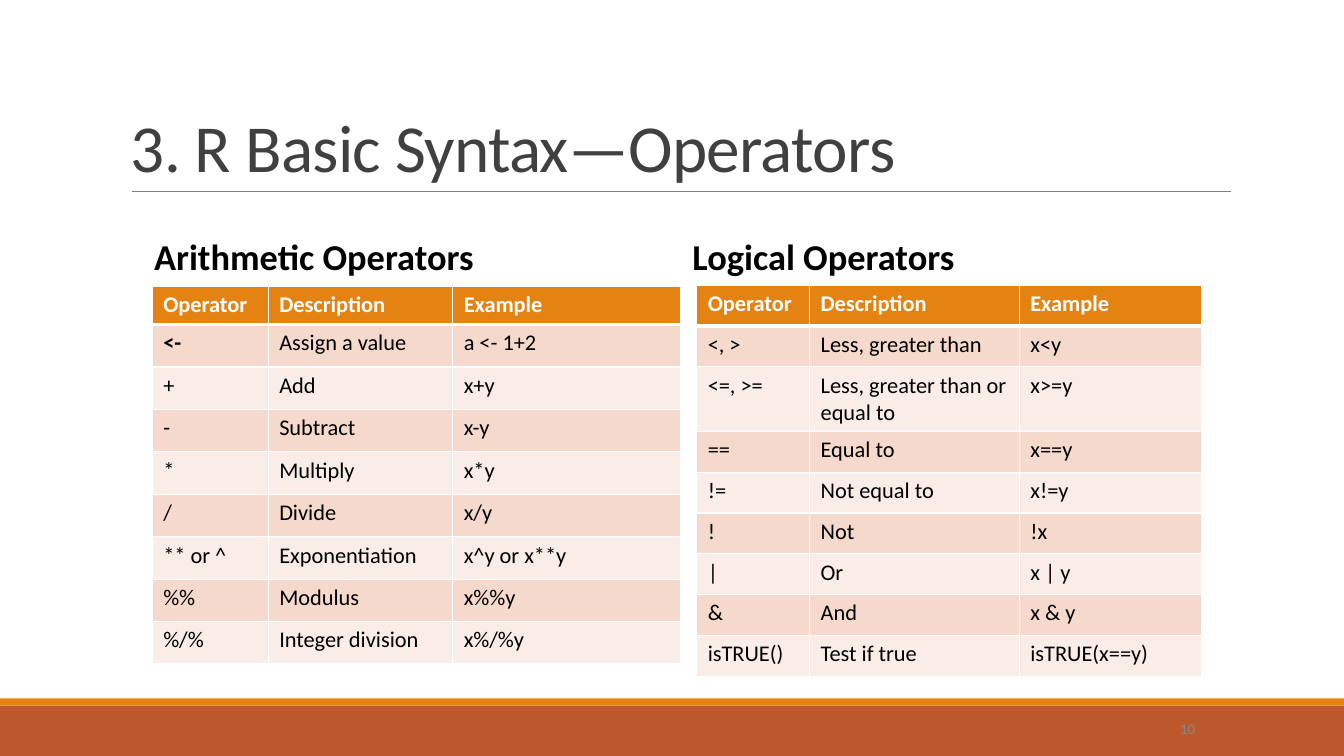
from lxml import etree
from pptx import Presentation
from pptx.dml.color import RGBColor
from pptx.enum.shapes import MSO_CONNECTOR, MSO_SHAPE
from pptx.enum.text import MSO_ANCHOR, PP_ALIGN
from pptx.oxml.ns import qn
from pptx.util import Inches, Pt

RECTANGLE = MSO_SHAPE.RECTANGLE
STRAIGHT = MSO_CONNECTOR.STRAIGHT
TOP, MIDDLE, BOTTOM = MSO_ANCHOR.TOP, MSO_ANCHOR.MIDDLE, MSO_ANCHOR.BOTTOM
LEFT, RIGHT = PP_ALIGN.LEFT, PP_ALIGN.RIGHT

FONT = "Calibri"
COLORS = {
    "rust": "BD582C", "orange": "E48312", "rule": "808080", "title": "404040",
    "number": "898989", "black": "000000", "white": "FFFFFF",
    "band_dark": "F5D9CC", "band_light": "FAEDE7",
}


def add_span(para, text, size, color, bold=False):
    span = para.add_run()
    span.text = text
    span.font.name = FONT
    span.font.size = Pt(size)
    span.font.bold = bold
    span.font.color.rgb = RGBColor.from_string(COLORS[color])
    return span


def add_text(page, place, text, size, color, bold=False, anchor=TOP, align=LEFT):
    box = page.shapes.add_textbox(*(Inches(value) for value in place))
    box.text_frame.word_wrap = True
    box.text_frame.vertical_anchor = anchor
    para = box.text_frame.paragraphs[0]
    para.alignment = align
    return para, add_span(para, text, size, color, bold)


deck = Presentation()
deck.slide_width, deck.slide_height = Inches(13.33), Inches(7.5)
page = deck.slides.add_slide(deck.slide_layouts[6])

# Footer bands
for top, height, color in [(7, 0.5, "rust"), (6.93, 0.07, "orange")]:
    band = page.shapes.add_shape(
        RECTANGLE, 0, Inches(top), deck.slide_width, Inches(height))
    band.shadow.inherit = False
    band.fill.solid()
    band.fill.fore_color.rgb = RGBColor.from_string(COLORS[color])
    band.line.fill.background()

# Title and the rule below it
rule = page.shapes.add_connector(
    STRAIGHT, Inches(1.31), Inches(1.9), Inches(12.21), Inches(1.9))
rule.line.color.rgb = RGBColor.from_string(COLORS["rule"])
rule.line.width = Pt(0.5)
etree.SubElement(rule._element.spPr, qn("a:effectLst"))

title_para, title_span = add_text(
    page, (1.2, 0.31, 11, 1.59), "3. R Basic Syntax—Operators", 48, "title",
    anchor=BOTTOM)
title_para.line_spacing = 0.85
title_span.font._element.set("spc", "-50")

# Operator tables: one row has its own height, the others share the rest
HEADER = ("Operator", "Description", "Example")
operator_tables = [
    {
        "heading": "Arithmetic Operators", "heading_left": 1.43,
        "left": 1.51, "top": 2.84, "height": 3.75,
        "columns": (1.15, 1.83, 2.26), "own_row": 0, "own_height": 0.38,
        "rows": [
            HEADER,
            ("<-", "Assign a value", "a <- 1+2"),
            ("+", "Add", "x+y"),
            ("-", "Subtract", "x-y"),
            ("*", "Multiply", "x*y"),
            ("/", "Divide", "x/y"),
            ("** or ^", "Exponentiation", "x^y or x**y"),
            ("%%", "Modulus", "x%%y"),
            ("%/%", "Integer division", "x%/%y"),
        ],
    },
    {
        "heading": "Logical Operators", "heading_left": 6.77,
        "left": 6.91, "top": 2.83, "height": 3.88,
        "columns": (1.12, 2.08, 1.81), "own_row": 2, "own_height": 0.64,
        "rows": [
            HEADER,
            ("<, >", "Less, greater than", "x<y"),
            ("<=, >=", "Less, greater than or equal to", "x>=y"),
            ("==", "Equal to", "x==y"),
            ("!=", "Not equal to", "x!=y"),
            ("!", "Not", "!x"),
            ("|", "Or", "x | y"),
            ("&", "And", "x & y"),
            ("isTRUE()", "Test if true", "isTRUE(x==y)"),
        ],
    },
]

for info in operator_tables:
    rows, columns = info["rows"], info["columns"]
    table = page.shapes.add_table(
        len(rows), len(columns), Inches(info["left"]), Inches(info["top"]),
        Inches(sum(columns)), Inches(info["height"])).table
    for column, width in zip(table.columns, columns):
        column.width = Inches(width)
    shared_height = (info["height"] - info["own_height"]) / (len(rows) - 1)

    for r, words in enumerate(rows):
        own = r == info["own_row"]
        table.rows[r].height = Inches(info["own_height"] if own else shared_height)
        if r == 0:
            fill = "orange"
        else:
            fill = "band_dark" if r % 2 else "band_light"

        for c, word in enumerate(words):
            cell = table.cell(r, c)
            cell.margin_left = cell.margin_right = Inches(0.11)
            cell.margin_top = cell.margin_bottom = Inches(0.05)
            add_span(cell.text_frame.paragraphs[0], word, 16,
                     "white" if r == 0 else "black", r == 0 or word == "<-")

            # White borders, thick below the header; they precede the fill
            properties = cell._tc.get_or_add_tcPr()
            for side in ("lnL", "lnR", "lnT", "lnB"):
                thick = (r, side) in ((0, "lnB"), (1, "lnT"))
                border = etree.SubElement(
                    properties, qn("a:" + side), w=str(Pt(3 if thick else 1)))
                paint = etree.SubElement(border, qn("a:solidFill"))
                etree.SubElement(paint, qn("a:srgbClr"), val=COLORS["white"])
            cell.fill.solid()
            cell.fill.fore_color.rgb = RGBColor.from_string(COLORS[fill])

# Table headings
for info in operator_tables:
    add_text(page, (info["heading_left"], 2.27, 5.33, 0.54), info["heading"],
             26, "black", bold=True)

# Slide number
add_text(page, (10.5, 7.03, 1.45, 0.4), "10", 10.5, "number",
         anchor=MIDDLE, align=RIGHT)

deck.save("out.pptx")
